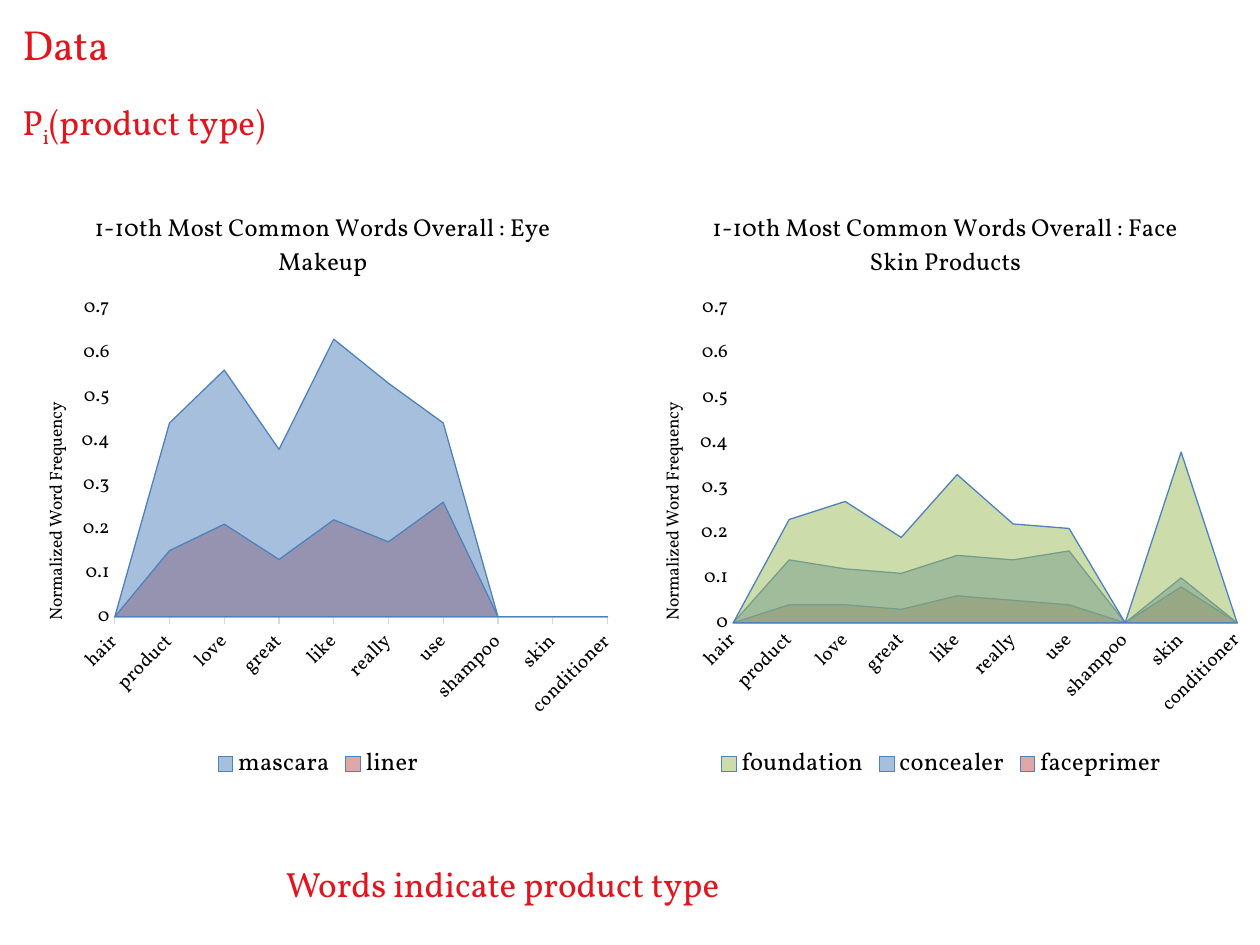
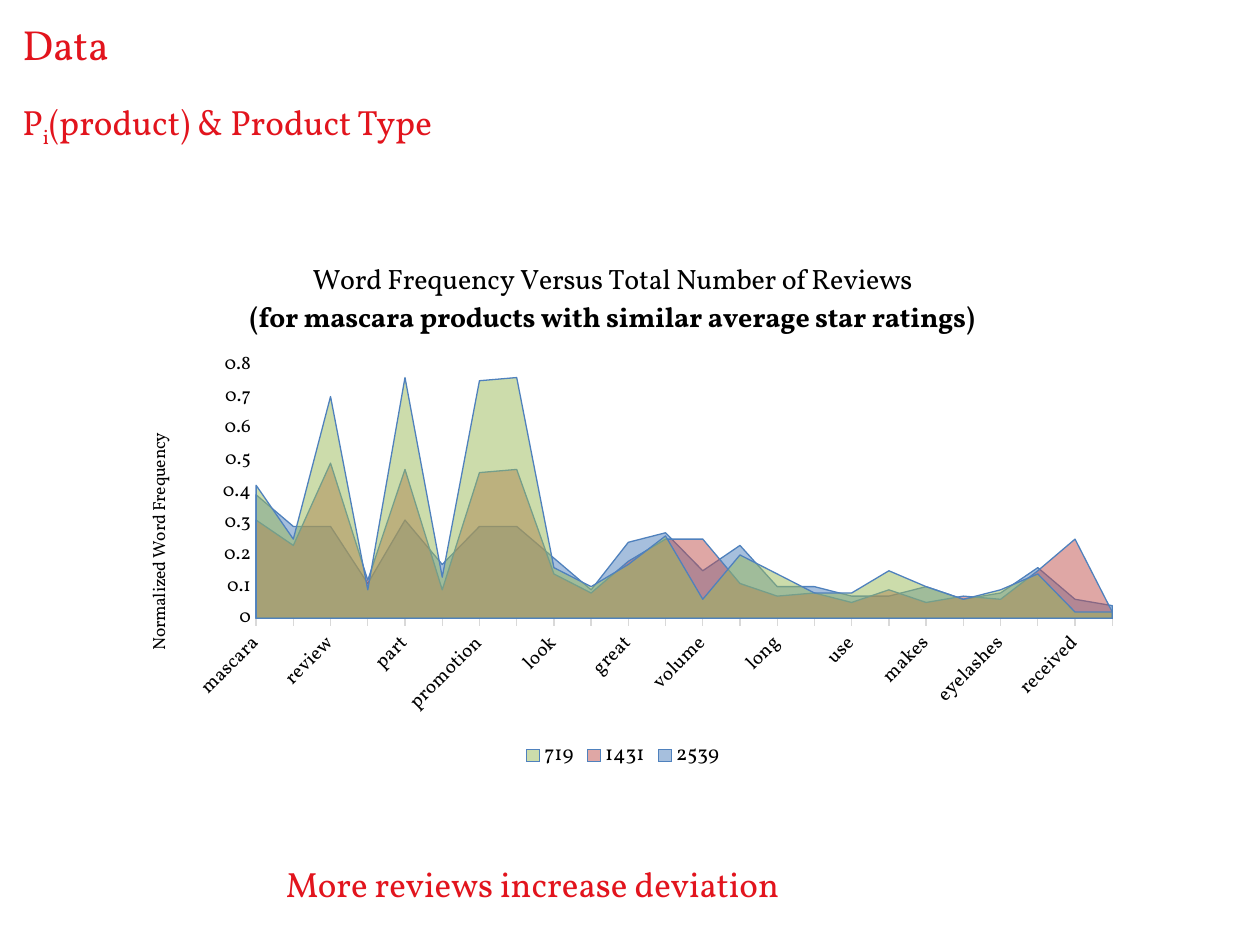
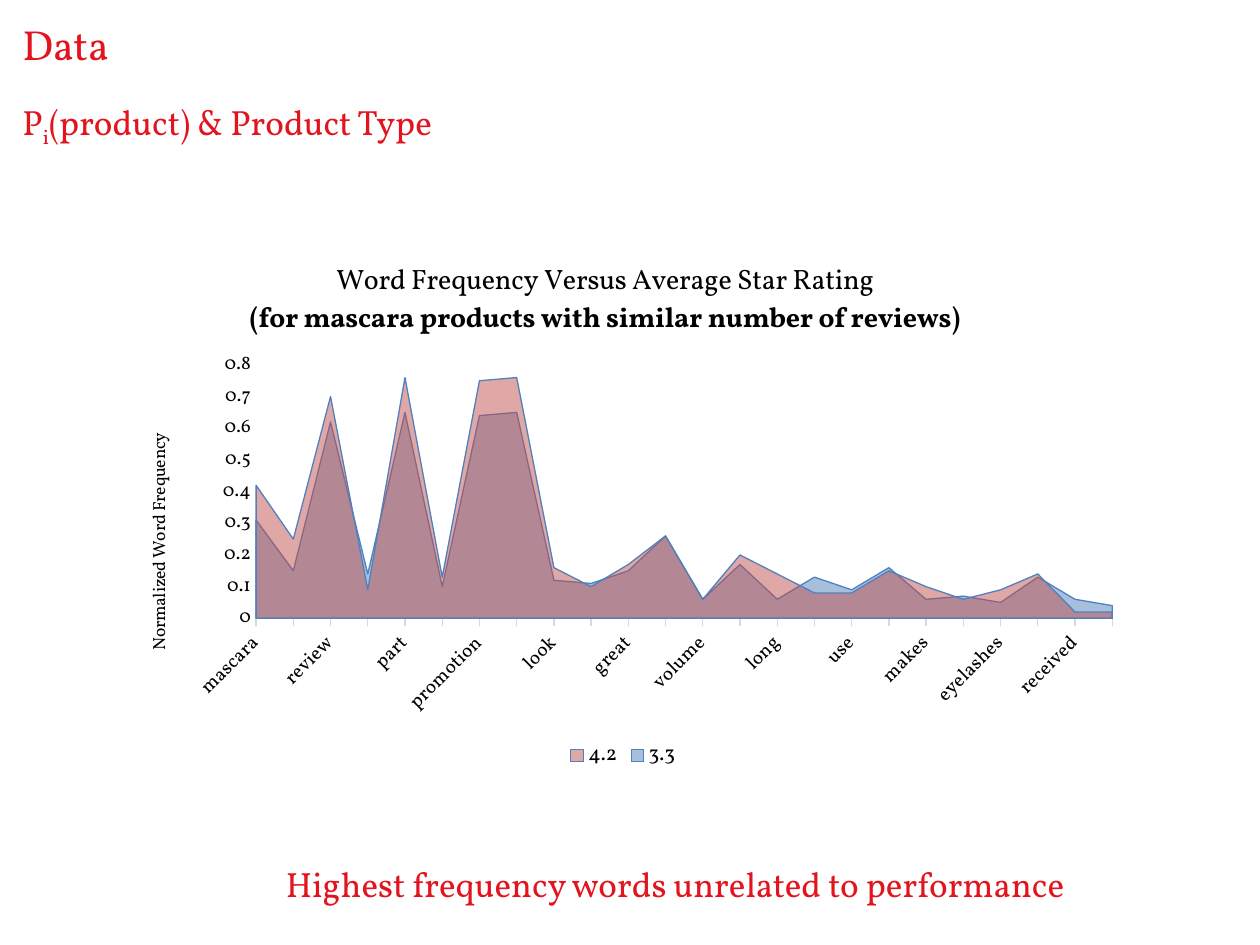
import dataclasses

import lxml.etree
import pptx
import pptx.chart.data
import pptx.dml.color
import pptx.enum.chart
import pptx.enum.text
import pptx.oxml.ns
import pptx.util

Pt = pptx.util.Pt
qn = pptx.oxml.ns.qn
Tick = pptx.enum.chart.XL_TICK_MARK
Anchor = pptx.enum.text.MSO_ANCHOR


@dataclasses.dataclass(frozen=True)
class Theme:
    face: str = "Vollkorn"
    red: str = "E2141D"
    ink: str = "000000"
    rule: str = "D9D9D9"
    blue: str = "4F81BD"
    rose: str = "C0504D"
    green: str = "9BBB59"
    head: int = 24
    sub: int = 20
    small: int = 10
    tick: int = 11
    thin: float = 0.75
    alpha: int = 50000


THEME = Theme()
LEFT = 5.76
HEAD = (LEFT, 4.3, 511, 41)
SUB = (LEFT, 54, 511, 41)
CLAIM = (156.24, 484.5, 511, 41)
EYE = (LEFT, 103.7, 352, 345.6)
FACE = (357.8, 103.7, 360, 345.6)
WIDE = (64.8, 134.6, 582.5, 308.2)

TOP_TEN = ["hair", "product", "love", "great", "like", "really", "use",
           "shampoo", "skin", "conditioner"]
MASCARA = ["mascara", "lashes", "review", "product", "part", "love",
           "promotion", "collected", "look", "like", "great", "really",
           "volume", "one", "long", "would", "use", "brush", "makes", "good",
           "eyelashes", "day", "received", "eyes"]
COMMON = [0.42, 0.25, 0.7, 0.09, 0.76, 0.13, 0.75, 0.76, 0.16, 0.1, 0.17, 0.26,
          0.06, 0.2, 0.14, 0.08, 0.08, 0.15, 0.1, 0.06, 0.09, 0.14, 0.02, 0.02]

EYE_ROWS = [
    ("mascara", THEME.blue, [0, 0.44, 0.56, 0.38, 0.63, 0.53, 0.44, 0, 0, 0]),
    ("liner", THEME.rose, [0, 0.15, 0.21, 0.13, 0.22, 0.17, 0.26, 0, 0, 0]),
]
FACE_ROWS = [
    ("foundation", THEME.green,
     [0, 0.23, 0.27, 0.19, 0.33, 0.22, 0.21, 0, 0.38, 0]),
    ("concealer", THEME.blue,
     [0, 0.14, 0.12, 0.11, 0.15, 0.14, 0.16, 0, 0.1, 0]),
    ("faceprimer", THEME.rose,
     [0, 0.04, 0.04, 0.03, 0.06, 0.05, 0.04, 0, 0.08, 0]),
]
COUNT_ROWS = [
    ("719", THEME.green, COMMON),
    ("1431", THEME.rose,
     [0.31, 0.23, 0.49, 0.12, 0.47, 0.09, 0.46, 0.47, 0.14, 0.08, 0.18, 0.25,
      0.25, 0.11, 0.07, 0.08, 0.05, 0.09, 0.05, 0.07, 0.06, 0.15, 0.25, 0.02]),
    ("2539", THEME.blue,
     [0.39, 0.29, 0.29, 0.11, 0.31, 0.17, 0.29, 0.29, 0.19, 0.09, 0.24, 0.27,
      0.15, 0.23, 0.1, 0.1, 0.07, 0.07, 0.1, 0.06, 0.08, 0.16, 0.06, 0.04]),
]
STAR_ROWS = [
    ("4.2", THEME.rose, COMMON),
    ("3.3", THEME.blue,
     [0.31, 0.15, 0.62, 0.14, 0.65, 0.1, 0.64, 0.65, 0.12, 0.11, 0.15, 0.26,
      0.06, 0.17, 0.06, 0.13, 0.09, 0.16, 0.06, 0.07, 0.05, 0.13, 0.06, 0.04]),
]


def dress(item, **looks):
    for key, value in looks.items():
        setattr(item, key, value)


def tint(text):
    return pptx.dml.color.RGBColor.from_string(text)


def ink(font, size, color=THEME.ink, bold=False):
    dress(font, name=THEME.face, size=Pt(size), bold=bold)
    font.color.rgb = tint(color)


def write(slide, box, parts, size, anchor=Anchor.MIDDLE):
    frame = slide.shapes.add_textbox(*map(Pt, box)).text_frame
    dress(frame, word_wrap=True, vertical_anchor=anchor)
    for text, base in parts:
        run = frame.paragraphs[0].add_run()
        run.text = text
        ink(run.font, size, THEME.red)
        if base:
            run._r.get_or_add_rPr().set("baseline", str(base))


def place(node, **spots):
    layout = node.find(qn("c:layout"))
    if layout is None:
        layout = lxml.etree.Element(qn("c:layout"))
        node.insert(0 if node.find(qn("c:tx")) is None else 1, layout)
    manual = lxml.etree.SubElement(layout, qn("c:manualLayout"))
    for key, value in spots.items():
        lxml.etree.SubElement(manual, qn("c:" + key)).set("val", str(value))


def label(title, lines, size):
    frame = title.text_frame
    for spot, text in enumerate(lines):
        para = frame.paragraphs[0] if spot == 0 else frame.add_paragraph()
        run = para.add_run()
        run.text = text
        ink(run.font, size, bold=spot > 0)


def graph(slide, box, title, size, words, rows, top, key, plot,
          tick=Tick.OUTSIDE):
    data = pptx.chart.data.CategoryChartData()
    data.categories = words
    for name, _, values in rows:
        data.add_series(name, values)
    chart = slide.shapes.add_chart(
        pptx.enum.chart.XL_CHART_TYPE.AREA, *map(Pt, box), data).chart
    ink(chart.font, THEME.small)
    dress(chart, has_title=True, has_legend=True)
    label(chart.chart_title, title, size)
    dress(chart.legend, include_in_layout=False,
          position=pptx.enum.chart.XL_LEGEND_POSITION.BOTTOM)
    ink(chart.legend.font, key)

    across, rise = chart.category_axis, chart.value_axis
    dress(across, major_tick_mark=tick)
    dress(rise, minimum_scale=0, maximum_scale=top, major_unit=0.1,
          has_title=True, major_tick_mark=Tick.NONE)
    for axis in (across, rise):
        dress(axis, has_major_gridlines=False, minor_tick_mark=Tick.NONE)
        ink(axis.tick_labels.font, THEME.tick)
    dress(rise.tick_labels, number_format="General",
          number_format_is_linked=False)
    label(rise.axis_title, ["Normalized Word Frequency"], THEME.small)
    rise.format.line.fill.background()
    across.format.line.width = Pt(THEME.thin)
    across.format.line.color.rgb = tint(THEME.rule)

    for series, (_, color, _) in zip(chart.plots[0].series, rows):
        look = series.format
        look.fill.solid()
        look.fill.fore_color.rgb = tint(color)
        look.line.width = Pt(THEME.thin)
        look.line.color.rgb = tint(THEME.blue)

    root = chart.element
    for node in root.xpath(".//c:ser/c:spPr/a:solidFill/a:srgbClr"):
        lxml.etree.SubElement(node, qn("a:alpha")).set("val", str(THEME.alpha))
    for route, turn in (("c:catAx/c:txPr", -45), ("c:valAx/c:title//c:rich", -90)):
        for body in root.xpath(f".//{route}/a:bodyPr"):
            body.set("rot", str(turn * 60000))
            body.set("vert", "horz")
    left, over, wide, tall = plot
    edge = dict(xMode="edge", yMode="edge")
    place(root.xpath(".//c:plotArea")[0], layoutTarget="inner", **edge,
          x=left, y=over, w=wide, h=tall)
    place(root.xpath("./c:chart/c:title")[0], **edge, x=0.13, y=0.04)
    place(root.xpath(".//c:valAx/c:title")[0], **edge,
          x=0.05 if box is not WIDE else 0.03, y=0.36)


def page(deck, topic, claim):
    slide = deck.slides.add_slide(deck.slide_layouts[6])
    write(slide, HEAD, [("Data", 0)], THEME.head)
    write(slide, SUB, [("P", 0), ("i", -25000), (topic, 0)], THEME.sub,
          Anchor.TOP)
    write(slide, CLAIM, [(claim, 0)], THEME.sub)
    return slide


def main():
    deck = pptx.Presentation()
    dress(deck, slide_width=Pt(720), slide_height=Pt(540))

    slide = page(deck, "(product type)", "Words indicate product type")
    lead = "1-10th Most Common Words Overall : "
    graph(slide, EYE, [lead + "Eye Makeup"], 14, TOP_TEN, EYE_ROWS, 0.7, 14,
          (0.17, 0.21, 0.8, 0.51))
    graph(slide, FACE, [lead + "Face Skin Products"], 14, TOP_TEN, FACE_ROWS,
          0.7, 14, (0.17, 0.21, 0.8, 0.52), Tick.NONE)

    for claim, theme, group, rows in (
        ("More reviews increase deviation", "Total Number of Reviews",
         "average star ratings", COUNT_ROWS),
        ("Highest frequency words unrelated to performance",
         "Average Star Rating", "number of reviews", STAR_ROWS),
    ):
        slide = page(deck, "(product) & Product Type", claim)
        title = ["Word Frequency Versus " + theme,
                 f"(for mascara products with similar {group})"]
        graph(slide, WIDE, title, 16, MASCARA, rows, 0.8, 12,
              (0.14, 0.24, 0.84, 0.47))

    deck.save("out.pptx")


if __name__ == "__main__":
    main()
